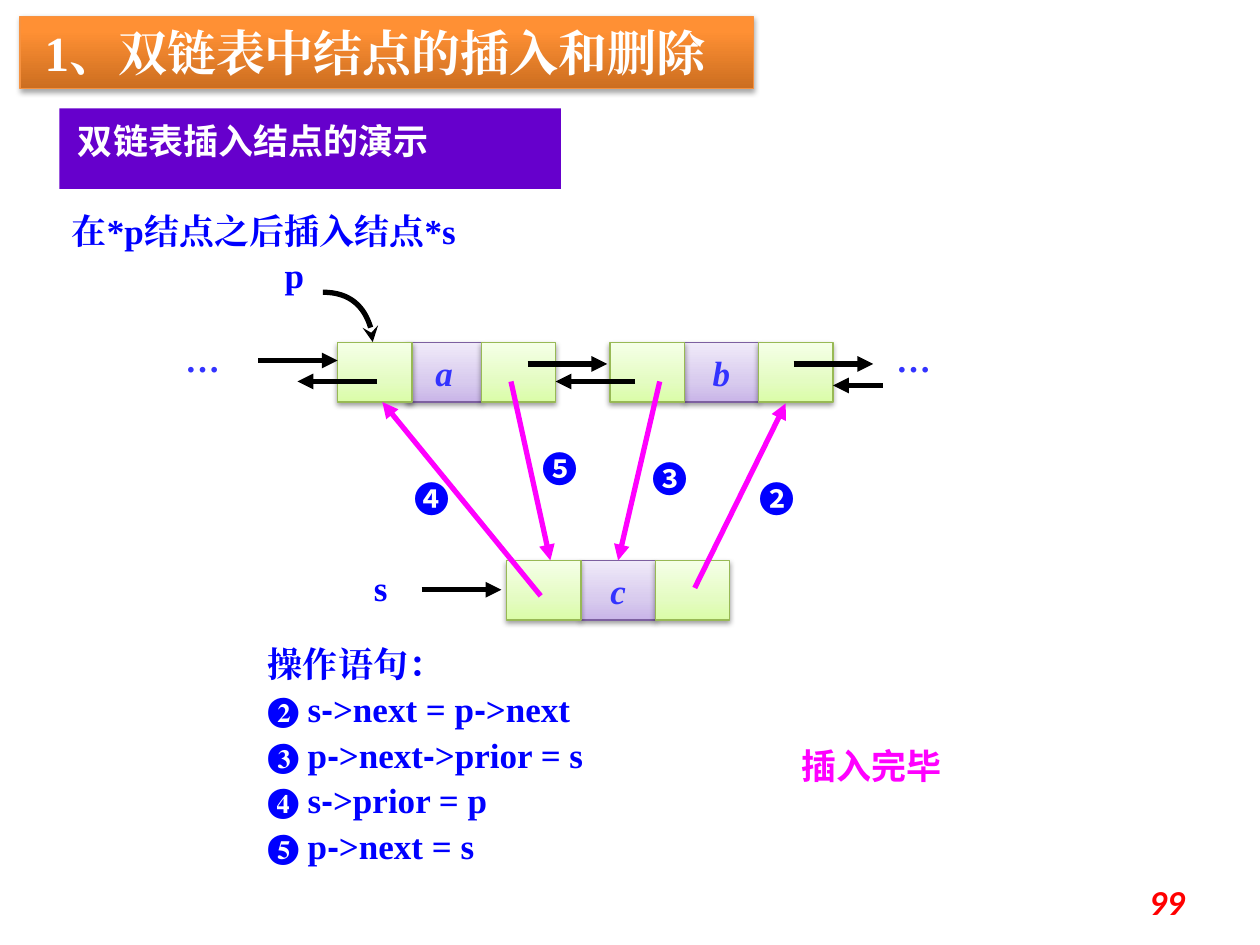
from lxml import etree
from pptx import Presentation
from pptx.dml.color import RGBColor
from pptx.enum.shapes import MSO_CONNECTOR, MSO_SHAPE
from pptx.enum.text import MSO_ANCHOR, PP_ALIGN
from pptx.oxml.ns import qn
from pptx.util import Pt

RECT = MSO_SHAPE.RECTANGLE
LINE = MSO_CONNECTOR.STRAIGHT
TOP, MIDDLE = MSO_ANCHOR.TOP, MSO_ANCHOR.MIDDLE
LEFT, CENTER, RIGHT = PP_ALIGN.LEFT, PP_ALIGN.CENTER, PP_ALIGN.RIGHT
TIMES, SANS = "Times New Roman", "Noto Sans CJK SC"
COLORS = {
    "black": "000000", "white": "FFFFFF", "red": "FF0000",
    "blue": "0000FF", "soft": "3333FF", "pink": "FF00FF", "purple": "6600CC",
}
LOOKS = {
    "data": ("7D60A0", [(0, "C9B5E8"), (35, "D8CBEE"), (100, "F0EAF9")], 38),
    "link": ("98B955", [(0, "DAFDA7"), (35, "E4FCC2"), (100, "F5FFE7")], 38),
    "title": ("F69240", [(0, "CC6E20"), (80, "FF9034"), (100, "FF9136")], 35),
}
CELL_W, CELL_H = 42.5, 34
ROW_1, ROW_2 = 195.75, 320.25


def add(parent, tag, **attrs):
    node = etree.SubElement(parent, qn(tag))
    for key, val in attrs.items():
        node.set(key, str(val))
    return node


def color(name):
    return RGBColor.from_string(COLORS.get(name, name))


def write(frame, lines, tint, font=TIMES, size=20, align=LEFT, italic=False,
          para=None, **box):
    form = {"word_wrap": True, "vertical_anchor": TOP, **box}
    for key, val in form.items():
        setattr(frame, key, val)
    face = {"size": Pt(size), "bold": True, "italic": italic}
    for row, line in enumerate(lines):
        par = frame.add_paragraph() if row else frame.paragraphs[0]
        par.alignment = align
        for key, val in (para or {}).items():
            if row or key != "space_before":
                setattr(par, key, val)
        for idx, part in enumerate(line.split("-")):
            runs = [("-", "Arial")] if idx else []
            for text, name in runs + [(part, font)]:
                run = par.add_run()
                run.text = text
                for key, val in {**face, "name": name}.items():
                    setattr(run.font, key, val)
                run.font.color.rgb = color(tint)
                add(run.font._element, "a:ea", typeface=name)


def label(slide, x, y, w, h, lines, tint, **form):
    box = slide.shapes.add_textbox(Pt(x), Pt(y), Pt(w), Pt(h))
    write(box.text_frame, lines, tint, **form)


def panel(slide, x, y, w, h, look):
    edge, stops, alpha = LOOKS[look]
    shape = slide.shapes.add_shape(RECT, Pt(x), Pt(y), Pt(w), Pt(h))
    shape.fill.gradient()
    shape.fill.gradient_angle = 90
    props = shape._element.spPr
    grad = props.find(".//" + qn("a:gsLst"))
    for stop in list(grad):
        grad.remove(stop)
    for pos, tint in stops:
        add(add(grad, "a:gs", pos=pos * 1000), "a:srgbClr", val=tint)
    shape.line.color.rgb = color(edge)
    shape.line.width = Pt(0.75)
    shape.shadow.inherit = False
    cast = add(props.find(qn("a:effectLst")), "a:outerShdw", blurRad=Pt(3.1),
               dist=Pt(1.6), dir=90 * 60000, rotWithShape=0)
    shade = add(cast, "a:srgbClr", val=COLORS["black"])
    add(shade, "a:alpha", val=alpha * 1000)
    return shape


def node(slide, prior, data, y, word):
    cell = panel(slide, data, y, CELL_W, CELL_H, "data")
    write(cell.text_frame, [word], "soft", align=CENTER, italic=True,
          vertical_anchor=MIDDLE, word_wrap=False)
    for x in (data + CELL_W, prior):
        panel(slide, x, y, CELL_W, CELL_H, "link")
    return cell


def stroke(shape, tint, head):
    shape.line.color.rgb = color(tint)
    shape.line.width = Pt(3)
    add(shape.line._get_or_add_ln(), "a:tailEnd", type=head)


def arrow(slide, x1, y1, x2, y2, tint="black"):
    link = slide.shapes.add_connector(LINE, Pt(x1), Pt(y1), Pt(x2), Pt(y2))
    stroke(link, tint, "triangle")
    add(link._element.spPr, "a:effectLst")
    return link


def curve(slide, x, y, size):
    pen = slide.shapes.build_freeform(Pt(x), Pt(y))
    pen.add_line_segments([(Pt(x + size), Pt(y + size))], close=False)
    shape = pen.convert_to_shape()
    trace = shape._element.spPr.find(".//" + qn("a:path"))
    trace.remove(trace.find(qn("a:lnTo")))
    bend = add(trace, "a:cubicBezTo")
    for px, py in ((0.56, 0), (1, 0.45), (1, 1)):
        add(bend, "a:pt", x=Pt(size * px), y=Pt(size * py))
    shape.fill.background()
    shape.shadow.inherit = False
    stroke(shape, "black", "stealth")


def heads(slide):
    bar = panel(slide, 11.5, 9.25, 419, 41.25, "title")
    write(bar.text_frame, [" 1、双链表中结点的插入和删除"], "white", size=28)
    band = slide.shapes.add_shape(RECT, Pt(34), Pt(62), Pt(286.5), Pt(46))
    band.fill.solid()
    band.fill.fore_color.rgb = color("purple")
    band.line.fill.background()
    band.shadow.inherit = False
    write(band.text_frame, [" 双链表插入结点的演示"], "white", font=SANS,
          margin_left=Pt(6), margin_top=Pt(6), margin_right=Pt(13),
          margin_bottom=Pt(11.5))
    label(slide, 34, 116, 312, 36, ["在*p结点之后插入结点*s"], "blue")


def lists(slide):
    node(slide, 193, 232.5, ROW_1, "a")
    node(slide, 348.5, 391, ROW_1, "b")
    new = node(slide, 289.5, 332, ROW_2, "c")
    for x in (93.5, 499.5):
        label(slide, x, ROW_1, 45.5, 36, ["…"], "soft", font=SANS, align=CENTER)
    for x, y, run in (
        (147.5, 206, 45.5), (301.5, 208, 45.5), (453.5, 208, 45.5),
        (215.5, 218, -45.5), (363, 218, -45.5), (504.5, 220.25, -28.5),
        (241, 337, 45.5),
    ):
        arrow(slide, x, y, x + run, y)
    curve(slide, 184.5, 167, 28.5)
    for x, y, name in ((155.5, 139, "p"), (206.5, 318, "s")):
        label(slide, x, y, 34, 36, [name], "blue", margin_top=Pt(6))
    arrow(slide, 397, 336, 449, 230.5, "pink")
    arrow(slide, 377, 218, 354, ROW_2, "pink").end_connect(new, 0)
    arrow(slide, 309, 340.5, 218.5, 229.75, "pink")
    arrow(slide, 292, 218, 314.5, ROW_2, "pink")
    for x, y, mark in (
        (427, 269.5, "❷"), (366, 258, "❸"), (229.5, 269.5, "❹"), (303, 252, "❺"),
    ):
        label(slide, x, y, 34, 36, [mark], "blue", font=SANS)


def main():
    deck = Presentation()
    deck.slide_width, deck.slide_height = Pt(720), Pt(540)
    slide = deck.slides.add_slide(deck.slide_layouts[6])
    heads(slide)
    lists(slide)
    steps = ["操作语句：", "❷ s->next = p->next", "❸ p->next->prior = s",
             "❹ s->prior = p", "❺ p->next = s"]
    label(slide, 146, 371.5, 281.5, 148.5, steps, "blue",
          para={"line_spacing": Pt(16), "space_before": Pt(10)})
    label(slide, 416, 422, 164, 36, ["插入完毕"], "pink", font=SANS, align=CENTER)
    label(slide, 516, 500.5, 168, 28.75, ["99"], "red", font="Calibri",
          align=RIGHT, italic=True, vertical_anchor=MIDDLE)
    deck.save("out.pptx")


if __name__ == "__main__":
    main()
